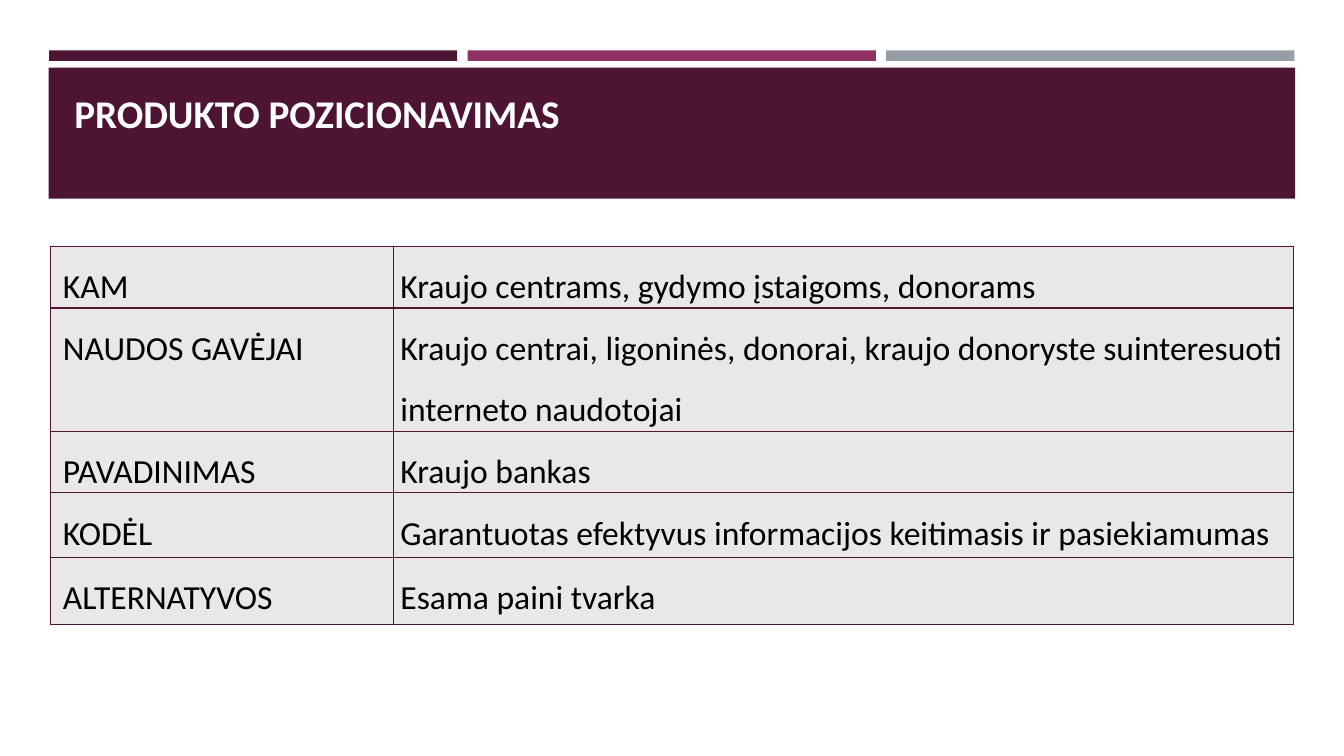
from lxml import etree
from pptx import Presentation
from pptx.dml.color import RGBColor
from pptx.enum import shapes, text
from pptx.oxml import ns
from pptx.util import Pt

PLUM = RGBColor(0x4D, 0x14, 0x34)
MAGENTA = RGBColor(0x90, 0x31, 0x63)
GREY = RGBColor(0x96, 0x9F, 0xA7)
PALE = RGBColor(0xE9, 0xE7, 0xE8)
WHITE = RGBColor(0xFF, 0xFF, 0xFF)
BLACK = RGBColor(0, 0, 0)
FONT = "Calibri"

ROWS = [
    ("KAM", "Kraujo centrams, gydymo įstaigoms, donorams"),
    ("NAUDOS GAVĖJAI", "Kraujo centrai, ligoninės, donorai, kraujo donoryste "
                       "suinteresuoti interneto naudotojai"),
    ("PAVADINIMAS", "Kraujo bankas"),
    ("KODĖL", "Garantuotas efektyvus informacijos keitimasis ir pasiekiamumas"),
    ("ALTERNATYVOS", "Esama paini tvarka"),
]
ROW_HEIGHTS = [44, 88, 44, 46, 48]
COLUMN_WIDTHS = [245, 643]


def write(paragraph, wording, size, color=BLACK, bold=False):
    """Put one formatted run into a paragraph."""
    run = paragraph.add_run()
    run.text = wording
    run.font.name = FONT
    run.font.size = Pt(size)
    run.font.bold = bold
    run.font.color.rgb = color


def add_bar(slide, left, top, width, height, color):
    """Draw a plain filled rectangle."""
    bar = slide.shapes.add_shape(shapes.MSO_SHAPE.RECTANGLE,
                                 Pt(left), Pt(top), Pt(width), Pt(height))
    bar.shadow.inherit = False
    bar.fill.solid()
    bar.fill.fore_color.rgb = color
    bar.line.fill.background()


def add_title(slide, wording):
    """Add the heading on the banner."""
    box = slide.shapes.add_textbox(Pt(46), Pt(60), Pt(868), Pt(76))
    frame = box.text_frame
    frame.word_wrap = True
    frame.vertical_anchor = text.MSO_ANCHOR.TOP
    write(frame.paragraphs[0], wording, 28, WHITE, bold=True)


def add_borders(cell, color, width):
    """Line all four sides of a cell, ahead of its fill."""
    properties = cell._tc.get_or_add_tcPr()
    for index, side in enumerate(("a:lnL", "a:lnR", "a:lnT", "a:lnB")):
        line = etree.Element(ns.qn(side), w=str(Pt(width)))
        fill = etree.SubElement(line, ns.qn("a:solidFill"))
        etree.SubElement(fill, ns.qn("a:srgbClr"), val=str(color))
        properties.insert(index, line)


def fill_cell(cell, wording, indent=0):
    """Format a cell and write its text."""
    cell.fill.solid()
    cell.fill.fore_color.rgb = PALE
    add_borders(cell, PLUM, 1)
    cell.margin_left = cell.margin_right = Pt(5)
    cell.margin_top = cell.margin_bottom = 0
    paragraph = cell.text_frame.paragraphs[0]
    paragraph.line_spacing = 1.5
    paragraph.space_before = paragraph.space_after = Pt(6)
    if indent:
        paragraph._p.get_or_add_pPr().set("marL", str(Pt(indent)))
    write(paragraph, wording, 24)


def add_positioning_table(slide, left, top):
    """Add the two-column table of labels and answers."""
    frame = slide.shapes.add_table(len(ROWS), 2, Pt(left), Pt(top),
                                   Pt(sum(COLUMN_WIDTHS)), Pt(sum(ROW_HEIGHTS)))
    table = frame.table
    table.first_row = table.horz_banding = False
    for column, width in zip(table.columns, COLUMN_WIDTHS):
        column.width = Pt(width)
    for row, height, (label, answer) in zip(table.rows, ROW_HEIGHTS, ROWS):
        row.height = Pt(height)
        fill_cell(row.cells[0], label, indent=4)
        fill_cell(row.cells[1], answer)


def main():
    """Build the slide and save it."""
    presentation = Presentation()
    presentation.slide_width, presentation.slide_height = Pt(960), Pt(540)
    slide = presentation.slides.add_slide(presentation.slide_layouts[6])
    for index, color in enumerate((PLUM, MAGENTA, GREY)):
        add_bar(slide, 35 + 299 * index, 36, 291.6, 7.5, color)
    add_bar(slide, 34.8, 48.4, 890.4, 93.6, PLUM)
    add_title(slide, "PRODUKTO POZICIONAVIMAS")
    add_positioning_table(slide, 36, 176)
    presentation.save("out.pptx")


main()
